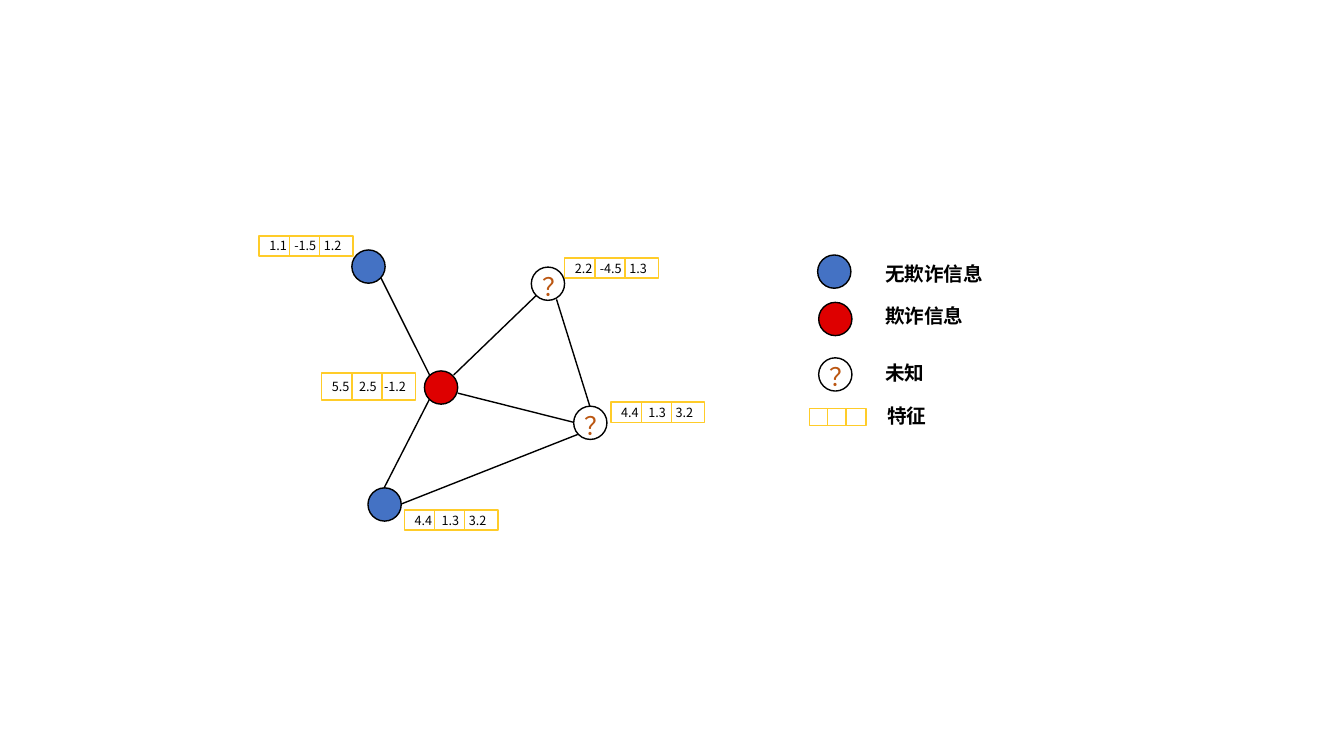
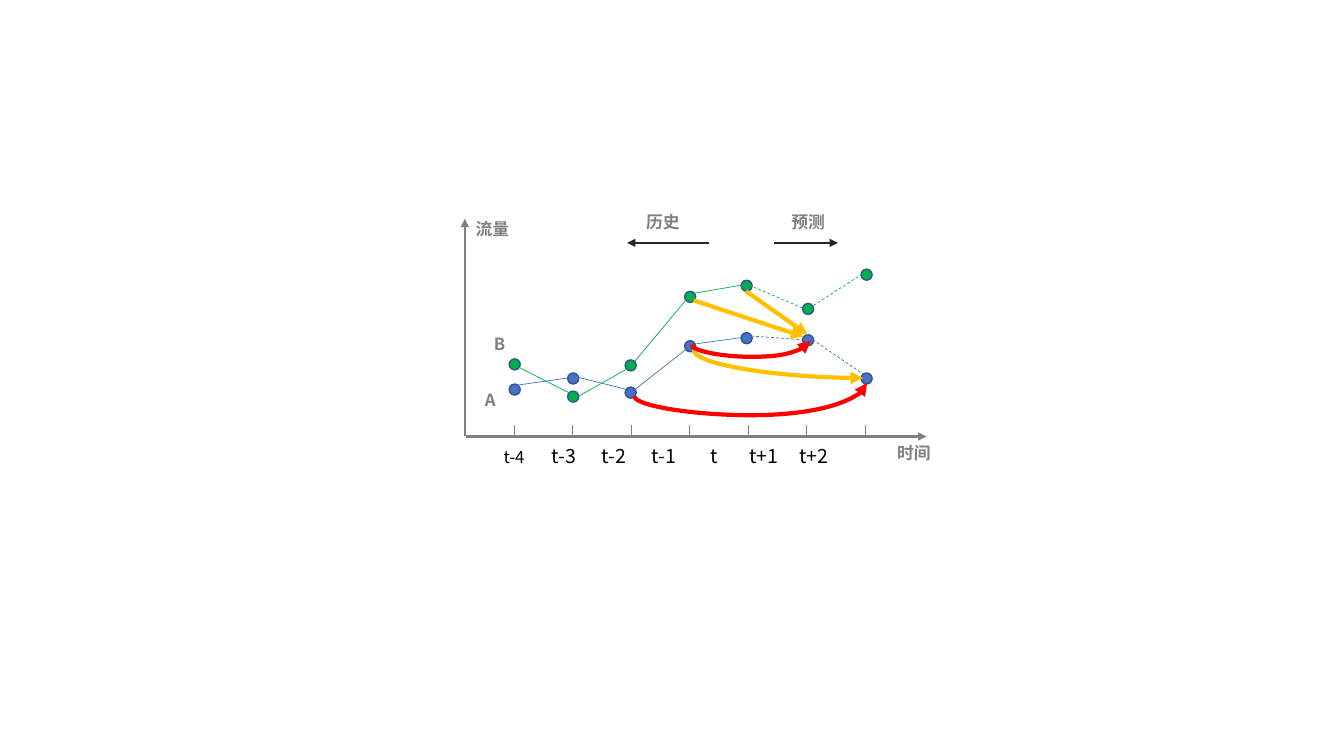
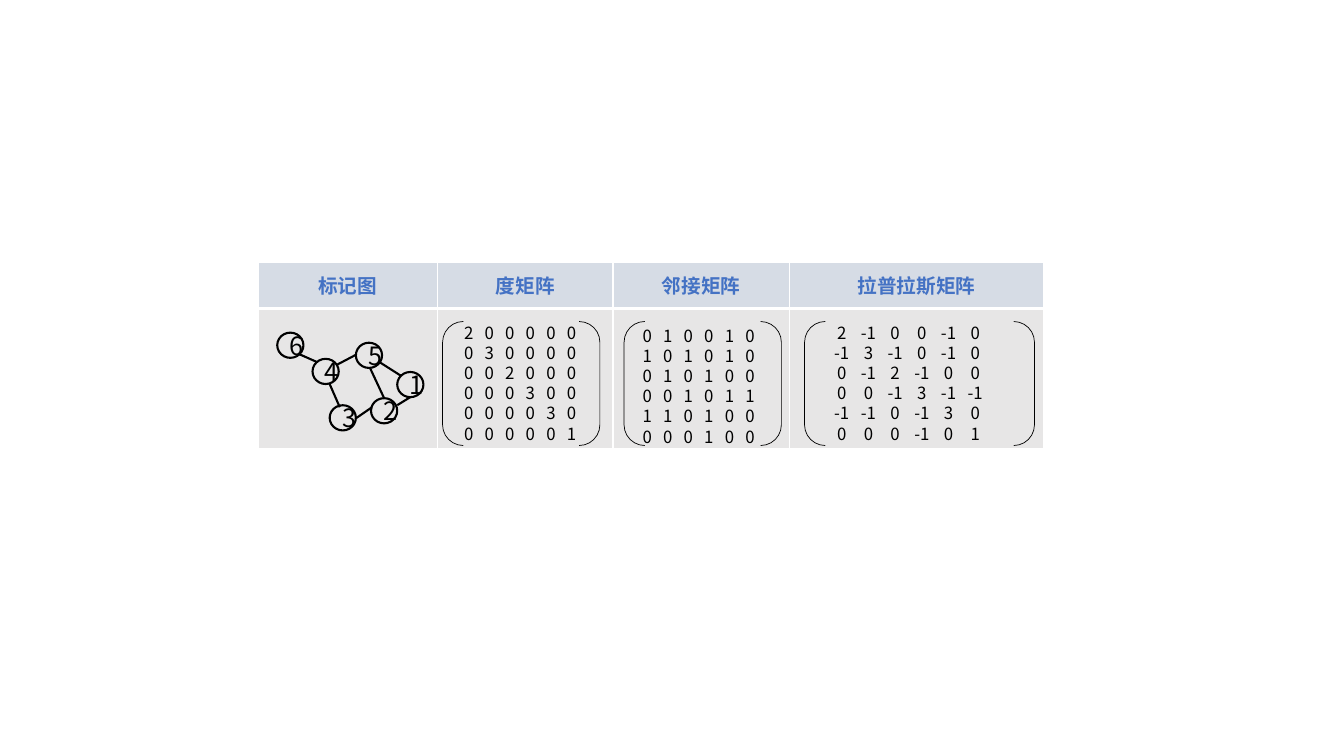
from dataclasses import dataclass
from typing import Any

from lxml import etree
from pptx import Presentation
from pptx.dml.color import RGBColor
from pptx.enum.dml import MSO_LINE
from pptx.enum.shapes import MSO_CONNECTOR, MSO_SHAPE
from pptx.enum.text import MSO_ANCHOR, MSO_AUTO_SIZE, PP_ALIGN
from pptx.oxml.ns import qn
from pptx.util import Inches, Pt

GRID = Inches(0.01)
SLIDE_COLS, SLIDE_ROWS = 1333, 750
FONT = "Noto Sans CJK SC"
BLACK, WHITE, GREY, DARK = "000000", "FFFFFF", "808080", "262626"
BLUE, GREEN, RED, BRIGHT_RED = "4472C4", "00B050", "DE0000", "FF0000"
GOLD, AMBER, RUST, NAVY = "FFCC29", "FFC000", "BB5611", "325491"
HEADER_FILL, BODY_FILL = "D6DCE5", "E7E6E6"
OVAL, RECT, BRACKETS = MSO_SHAPE.OVAL, MSO_SHAPE.RECTANGLE, MSO_SHAPE.DOUBLE_BRACKET
STRAIGHT, CURVE, DASH = MSO_CONNECTOR.STRAIGHT, MSO_CONNECTOR.CURVE, MSO_LINE.DASH
MIDDLE, CENTER = MSO_ANCHOR.MIDDLE, PP_ALIGN.CENTER
GROW = MSO_AUTO_SIZE.SHAPE_TO_FIT_TEXT


def rgb(hex_color):
    """Turn a hex string into a colour."""
    return RGBColor.from_string(hex_color)


def add_run(paragraph, text, size, color=BLACK, bold=False):
    """Append a run in the shared font to a paragraph."""
    run = paragraph.add_run()
    run.text = text
    for key, value in {"name": FONT, "size": Pt(size), "bold": bold}.items():
        setattr(run.font, key, value)
    run.font.color.rgb = rgb(color)
    etree.SubElement(run.font._element, qn("a:ea")).set("typeface", FONT)


def set_tabs(paragraph, first, pitch, count):
    """Give a paragraph evenly spaced centred tab stops, in grid units."""
    stops = etree.SubElement(paragraph._p.get_or_add_pPr(), qn("a:tabLst"))
    for column in range(count):
        position = round((first + pitch * column) * GRID)
        etree.SubElement(stops, qn("a:tab"), pos=str(position), algn="ctr")


def tabbed(values):
    """Put each value behind its own tab."""
    return "".join(f"\t{value}" for value in values)


def style_line(line, color, weight):
    """Set the colour and weight of an outline."""
    line.color.rgb = rgb(color)
    line.width = Pt(weight)


@dataclass
class Region:
    """An area of a slide whose parts are placed in grid units from its corner."""

    slide: Any
    left: int
    top: int

    def place(self, x, y, *size):
        """Convert a local position and a size into slide lengths."""
        lengths = (self.left + x, self.top + y, *size)
        return [round(length * GRID) for length in lengths]

    def shape(self, kind, box, fill, line, weight=1):
        """Draw a preset shape; without a fill it stays open."""
        shape = self.slide.shapes.add_shape(kind, *self.place(*box))
        shape.shadow.inherit = False
        if fill:
            shape.fill.solid()
            shape.fill.fore_color.rgb = rgb(fill)
        else:
            shape.fill.background()
        style_line(shape.line, line, weight)
        return shape

    def finish(self, connector, color, weight, arrow, dashed=False):
        """Style a connector, drop its shadow and add its arrowhead."""
        style_line(connector.line, color, weight)
        if dashed:
            connector.line.dash_style = DASH
        if arrow:
            outline = connector.line._get_or_add_ln()
            etree.SubElement(outline, qn("a:tailEnd"), type="triangle")
        etree.SubElement(connector._element.spPr, qn("a:effectLst"))

    def line(self, ends, color=BLACK, weight=1.0, arrow=False, dashed=False):
        """Draw a straight line between two points."""
        points = self.place(*ends[:2]) + self.place(*ends[2:])
        connector = self.slide.shapes.add_connector(STRAIGHT, *points)
        self.finish(connector, color, weight, arrow, dashed)

    def curve(self, ends, color, sag=0):
        """Draw a curved arrow that leaves downwards; sag is its depth below the start."""
        x1, y1, x2, y2 = ends
        width, height = abs(y2 - y1), abs(x2 - x1)
        left, top = (x1 + x2 - width) / 2, (y1 + y2 - height) / 2
        points = self.place(left, top) + self.place(left + width, top + height)
        connector = self.slide.shapes.add_connector(CURVE, *points)
        properties = connector._element.spPr
        turn = {"rot": 90, "flipH": "1", "flipV": "1"} if sag else {"rot": 270, "flipH": "1"}
        turn["rot"] = str(turn["rot"] * 60000)
        for key, value in turn.items():
            properties.find(qn("a:xfrm")).set(key, value)
        geometry = properties.find(qn("a:prstGeom"))
        geometry.set("prst", "curvedConnector3" if sag else "curvedConnector2")
        if sag:
            depth = round(-100000 * sag / width)
            etree.SubElement(geometry.find(qn("a:avLst")), qn("a:gd"),
                             name="adj1", fmla=f"val {depth}")
        self.finish(connector, color, 3, True)

    def text(self, box, wrap=False):
        """Add an empty text box that grows with its text."""
        frame = self.slide.shapes.add_textbox(*self.place(*box)).text_frame
        frame.word_wrap = wrap
        frame.auto_size = GROW
        return frame

    def label(self, box, text, size, color=BLACK, bold=True):
        """Write a one-line label."""
        add_run(self.text(box).paragraphs[0], text, size, color, bold)


def draw_node(region, x, y, fill):
    """Draw a graph node; a white one carries a question mark."""
    region.shape(OVAL, (x, y, 33, 33), fill, BLACK)
    if fill == WHITE:
        region.label((x + 1, y - 1, 45, 40), "？", 18, RUST, False)


def draw_strip(region, x, y, width, height, pitch):
    """Draw the three cells of a feature vector."""
    for column in range(3):
        region.shape(RECT, (x + pitch * column, y, width, height), WHITE, GOLD)


def draw_network(region):
    """Draw the fraud graph with its feature vectors."""
    features = [(7, 4, 20, "1.1 -1.5 1.2"), (151, 276, 20, "4.4 1.3 3.2"),
                (69, 140, 27, "5.5 2.5 -1.2"), (310, 26, 20, "2.2 -4.5 1.3"),
                (356, 169, 20, "4.4 1.3 3.2")]
    nodes = [(171, 138, RED), (99, 18, BLUE), (115, 254, BLUE),
             (277, 35, WHITE), (319, 173, WHITE)]
    edges = [(128, 46, 176, 142), (302, 67, 335, 173), (204, 160, 319, 189),
             (282, 63, 200, 142), (176, 166, 131, 254), (148, 270, 323, 201)]
    for x, y, height, values in features:
        draw_strip(region, x, y, 33, height, 30)
        frame = region.text((x, y + (height - 25) / 2, 93, 25), wrap=True)
        frame.margin_right = 0
        set_tabs(frame.paragraphs[0], 9, 27, 3)
        add_run(frame.paragraphs[0], tabbed(values.split()), 9)
    for node in nodes:
        draw_node(region, *node)
    for edge in edges:
        region.line(edge)


def draw_legend(region):
    """Explain the node colours and the feature strip."""
    for node in [(11, 3, BLUE), (12, 50, RED), (12, 105, WHITE)]:
        draw_node(region, *node)
    draw_strip(region, 3, 155, 20, 17, 18)
    for x, y, width, meaning in [(68, 5, 118, "无欺诈信息"), (68, 47, 99, "欺诈信息"),
                                 (68, 103, 59, "未知"), (70, 146, 59, "特征")]:
        region.label((x, y, width, 34), meaning, 14)


def draw_axes(region):
    """Draw the time and flow axes with ticks and captions."""
    for axis in [(2, 233, 459, 233), (1, 233, 1, 17)]:
        region.line(axis, GREY, 1.5, arrow=True)
    for step in range(7):
        tick = 50 + 58 * step
        region.line((tick, 222, tick, 234), GREY, 0.5)
    for arrow in [(243, 41, 162, 41), (308, 41, 371, 41)]:
        region.line(arrow, DARK, 1.5, arrow=True)
    for x, y, width, caption in [(2, 12, 54, "流量"), (420, 234, 55, "时间"),
                                 (171, 5, 54, "历史"), (315, 5, 54, "预测"),
                                 (20, 126, 30, "B"), (11, 182, 31, "A")]:
        region.label((x, y, width, 30), caption, 12, GREY)
    times = region.text((29, 235, 402, 34), wrap=True).paragraphs[0]
    set_tabs(times, 11, 49.6, 7)
    add_run(times, tabbed(["t-4"]), 12)
    add_run(times, tabbed(["t-3", "t-2", "t-1", "t", "t+1", "t+2"]), 14)


def draw_series(region, color, tops, segments):
    """Draw one series; its last two segments are forecasts and dashed."""
    for x, y in zip((45, 103, 160, 219, 275, 336, 394), tops):
        region.shape(OVAL, (x, y, 11, 11), color, NAVY)
    for number, segment in enumerate(segments):
        region.line(segment, color, 0.5, dashed=number >= 4)


def draw_flow(region):
    """Draw both flow series and the arrows of influence between them."""
    draw_axes(region)
    draw_series(region, BLUE, (181, 170, 184, 138, 130, 132, 170),
                [(54, 182, 103, 175), (112, 174, 160, 186), (169, 187, 220, 147),
                 (231, 141, 275, 135), (280, 133, 335, 137), (346, 137, 396, 171)])
    draw_series(region, GREEN, (156, 188, 157, 89, 78, 101, 67),
                [(50, 162, 105, 190), (114, 193, 162, 166), (170, 158, 220, 98),
                 (228, 91, 281, 82), (283, 83, 337, 106), (347, 103, 395, 72)])
    for influence in [(228, 98, 337, 134), (280, 89, 341, 132)]:
        region.line(influence, AMBER, 3, arrow=True)
    region.curve((228, 147, 396, 175), AMBER)
    region.curve((169, 193, 400, 180), BRIGHT_RED, sag=19)
    region.curve((226, 142, 344, 138), BRIGHT_RED, sag=12)


def style_cell(cell, fill, top, bottom):
    """Fill a cell and give it white borders."""
    cell.fill.solid()
    cell.fill.fore_color.rgb = rgb(fill)
    properties = cell._tc.get_or_add_tcPr()
    borders = {"a:lnL": 1, "a:lnR": 1, "a:lnT": top, "a:lnB": bottom}
    for order, (side, weight) in enumerate(borders.items()):
        border = etree.Element(qn(side), w=str(Pt(weight)))
        paint = etree.SubElement(border, qn("a:solidFill"))
        etree.SubElement(paint, qn("a:srgbClr"), val=WHITE)
        properties.insert(order, border)


def draw_table(region, headings, widths, heights):
    """Draw the table with its headings above empty cells."""
    box = region.place(0, 0, sum(widths), sum(heights))
    table = region.slide.shapes.add_table(2, len(headings), *box).table
    for row, height in zip(table.rows, heights):
        row.height = height * GRID
    for column, (heading, width) in enumerate(zip(headings, widths)):
        table.columns[column].width = width * GRID
        header = table.cell(0, column)
        style_cell(header, HEADER_FILL, 1, 3)
        style_cell(table.cell(1, column), BODY_FILL, 3, 1)
        header.vertical_anchor = MIDDLE
        title = header.text_frame.paragraphs[0]
        title.alignment = CENTER
        add_run(title, heading, 14, BLUE, True)


def draw_matrix(region, rows, bracket, text, first, pitch):
    """Draw a matrix between brackets; both boxes are x, y, width."""
    region.shape(BRACKETS, (*bracket, 123), None, BLACK, 0.5)
    frame = region.text((*text, 131), wrap=True)
    for number, row in enumerate(rows):
        paragraph = frame.add_paragraph() if number else frame.paragraphs[0]
        set_tabs(paragraph, first, pitch, len(row))
        add_run(paragraph, tabbed(row), 12)


def draw_laplacian(region):
    """Draw the labelled graph and the matrices that follow from its edges."""
    nodes = {6: (19, 70), 4: (54, 96), 5: (97, 80), 1: (138, 109), 3: (71, 142), 2: (112, 135)}
    edges = {(6, 4): (40, 91, 58, 99), (5, 1): (120, 99, 142, 113),
             (3, 2): (97, 155, 113, 144), (4, 5): (78, 102, 97, 92),
             (3, 4): (81, 144, 71, 121), (2, 5): (125, 135, 111, 105),
             (1, 2): (151, 134, 138, 142)}
    order = sorted(nodes)
    adjacency = [[int((a, b) in edges or (b, a) in edges) for b in order] for a in order]
    degree = [[sum(adjacency[a - 1]) if a == b else 0 for b in order] for a in order]
    laplacian = [[d - a for d, a in zip(*rows)] for rows in zip(degree, adjacency)]

    draw_table(region, ["标记图", "度矩阵", "邻接矩阵", "拉普拉斯矩阵"],
               [178, 174, 175, 252], [46, 139])
    draw_matrix(region, degree, (183, 59, 156), (194, 55, 171), 5, 20.4)
    draw_matrix(region, adjacency, (363, 59, 156), (371, 58, 171), 5, 20.4)
    draw_matrix(region, laplacian, (542, 59, 228), (560, 55, 197), 9, 26.5)
    for number, (x, y) in nodes.items():
        circle = region.shape(OVAL, (x, y, 26, 25), None, BLACK, 1.5)
        circle.text_frame.vertical_anchor = MIDDLE
        caption = circle.text_frame.paragraphs[0]
        caption.alignment = CENTER
        add_run(caption, str(number), 18)
    for ends in edges.values():
        region.line(ends, weight=1.5)


def build():
    """Build the three slides and save them."""
    deck = Presentation()
    deck.slide_width, deck.slide_height = SLIDE_COLS * GRID, SLIDE_ROWS * GRID
    blank = deck.slide_layouts[6]
    pages = [[(draw_network, 250, 230), (draw_legend, 800, 250)],
             [(draw_flow, 460, 200)],
             [(draw_laplacian, 256, 260)]]
    for regions in pages:
        slide = deck.slides.add_slide(blank)
        for draw, left, top in regions:
            draw(Region(slide, left, top))
    deck.save("out.pptx")


build()
